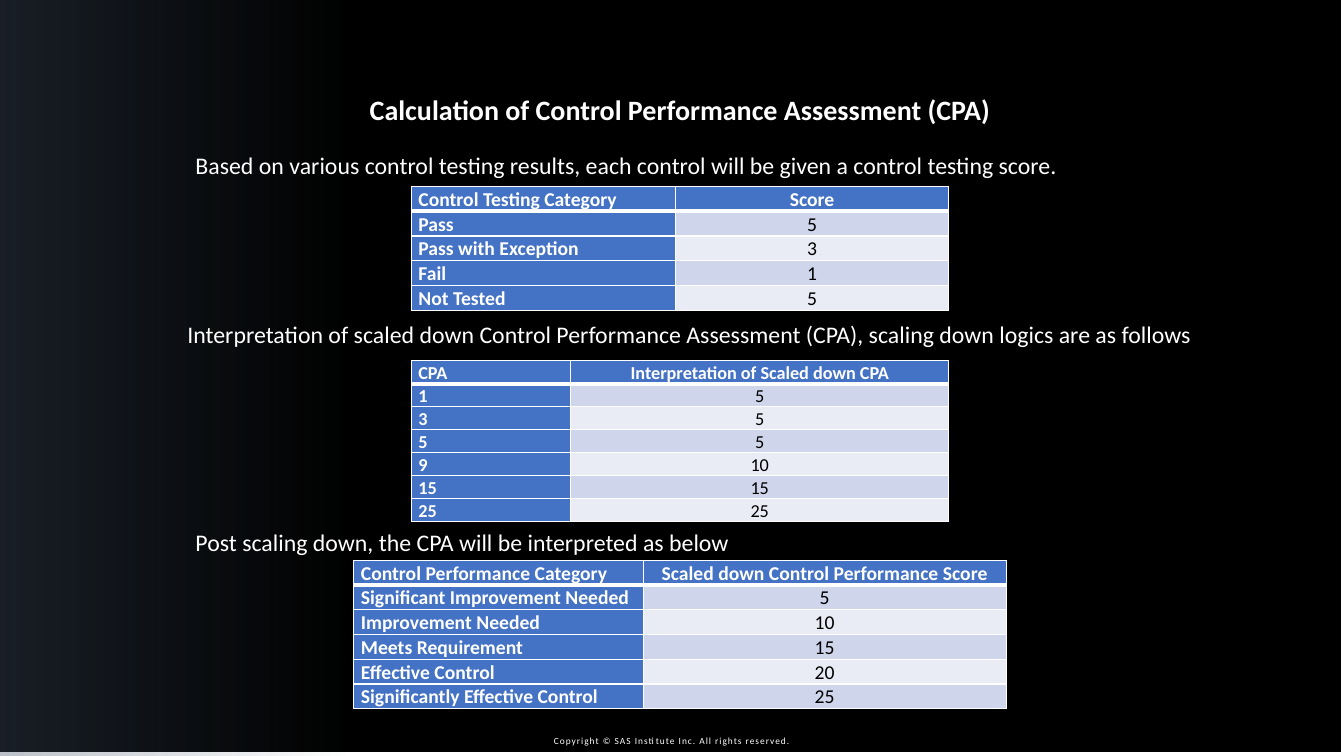
from lxml import etree
from pptx import Presentation
from pptx import util as u
from pptx.dml import color
from pptx.enum import shapes, text
from pptx.oxml import ns

WHITE, BLACK, BLUE, SLATE = "FFFFFF", "000000", "4472C4", "44546A"
BANDS = ["CFD5EA", "E9EBF5"]
AL, ANC = text.PP_ALIGN, text.MSO_ANCHOR


def rgb(value):
    return color.RGBColor.from_string(value)


def write(tf, words, size, fill=WHITE, bold=False, align=AL.LEFT,
          line=None, after=0, spacing=None):
    p = tf.paragraphs[0]
    p.alignment = align
    p.space_after = u.Pt(after)
    if line:
        p.line_spacing = line
    r = p.add_run()
    r.text = words
    r.font.name, r.font.size, r.font.bold = "Calibri", u.Pt(size), bold
    r.font.color.rgb = rgb(fill)
    if spacing:
        r.font._element.set("spc", str(spacing))


def add_label(s, x, y, w, h, words, size, anchor=ANC.TOP, **fmt):
    tf = s.shapes.add_textbox(*map(u.Inches, (x, y, w, h))).text_frame
    tf.word_wrap = True
    tf.auto_size = text.MSO_AUTO_SIZE.SHAPE_TO_FIT_TEXT
    tf.vertical_anchor = anchor
    write(tf, words, size, **fmt)


def add_block(s, x, y, w, h):
    sp = s.shapes.add_shape(shapes.MSO_SHAPE.RECTANGLE,
                            *map(u.Inches, (x, y, w, h)))
    sp.shadow.inherit = False
    sp.line.fill.background()
    return sp


def fade(sp, value, stops):
    """Gradient of one colour; stops are (position, opacity) pairs."""
    sp.fill.gradient()
    sp.fill.gradient_angle = 180
    for stop, (position, opacity) in zip(sp.fill.gradient_stops, stops):
        stop.position = position
        stop.color.rgb = rgb(value)
        srgb = stop._gs.find(ns.qn("a:srgbClr"))
        etree.SubElement(srgb, ns.qn("a:alpha"), val=str(int(opacity * 100000)))


def add_borders(cell, **widths):
    tcPr = cell._tc.get_or_add_tcPr()
    for side in "LRTB":
        ln = etree.SubElement(tcPr, ns.qn("a:ln" + side),
                              w=str(u.Pt(widths.get(side, 1))))
        fill = etree.SubElement(ln, ns.qn("a:solidFill"))
        etree.SubElement(fill, ns.qn("a:srgbClr"), val=WHITE)


def add_score_table(s, x, y, widths, height, size, rows, middle=False):
    box = map(u.Inches, (x, y, sum(widths), height))
    table = s.shapes.add_table(len(rows), len(widths), *box).table
    for column, width in zip(table.columns, widths):
        column.width = u.Inches(width)
    for i, row in enumerate(rows):
        table.rows[i].height = u.Inches(height / len(rows))
        for j, words in enumerate(row):
            cell = table.cell(i, j)
            cell.margin_left = cell.margin_right = u.Inches(0.07)
            cell.margin_top = cell.margin_bottom = 0
            if middle and i:
                cell.vertical_anchor = ANC.MIDDLE if j else ANC.BOTTOM
            # Thick rule under the header row
            add_borders(cell, B=3 if i == 0 else 1, T=3 if i == 1 else 1)
            score = i > 0 and j > 0
            cell.fill.solid()
            cell.fill.fore_color.rgb = rgb(BANDS[(i - 1) % 2] if score else BLUE)
            write(cell.text_frame, words, size, fill=BLACK if score else WHITE,
                  bold=not score, align=AL.CENTER if j else AL.JUSTIFY, line=1.05)


def main():
    prs = Presentation()
    prs.slide_width, prs.slide_height = u.Inches(13.33), u.Inches(7.5)
    s = prs.slides.add_slide(prs.slide_layouts[6])

    # Backdrop and footer
    backdrop = add_block(s, 0, -0.01, 13.3, 7.47)
    backdrop.fill.solid()
    backdrop.fill.fore_color.rgb = rgb(BLACK)
    fade(add_block(s, 0, 0, 3.51, 7.51), SLATE, [(0.02, 0), (1, 0.36)])
    add_label(s, 4.83, 7.24, 3.67, 0.21,
              "Copyright © SAS Institute Inc. All rights reserved.", 6.7,
              anchor=ANC.BOTTOM, align=AL.CENTER, spacing=70)

    # Title and section sentences
    add_label(s, 0.61, 0.87, 12.27, 0.44,
              "Calculation of Control Performance Assessment (CPA)", 20,
              bold=True, align=AL.CENTER)
    sentences = [
        (1.84, 1.43, 10.47, AL.JUSTIFY, "Based on various control testing results, "
         "each control will be given a control testing score."),
        (1.76, 3.11, 10.4, AL.LEFT, "Interpretation of scaled down Control Performance "
         "Assessment (CPA), scaling down logics are as follows"),
        (1.84, 5.17, 10.4, AL.LEFT,
         "Post scaling down, the CPA will be interpreted as below"),
    ]
    for x, y, w, align, words in sentences:
        add_label(s, x, y, w, 0.39, words, 17, align=align, line=1.05, after=6)

    # Score tables
    add_score_table(s, 4.08, 1.85, [2.62, 2.71], 1.23, 14, [
        ("Control Testing Category", "Score"),
        ("Pass", "5"),
        ("Pass with Exception", "3"),
        ("Fail", "1"),
        ("Not Tested", "5"),
    ])
    add_score_table(s, 4.08, 3.58, [1.58, 3.75], 1.59, 13, [
        ("CPA", "Interpretation of Scaled down CPA"),
        ("1", "5"),
        ("3", "5"),
        ("5", "5"),
        ("9", "10"),
        ("15", "15"),
        ("25", "25"),
    ], middle=True)
    add_score_table(s, 3.51, 5.56, [2.87, 3.6], 1.47, 14, [
        ("Control Performance Category", "Scaled down Control Performance Score"),
        ("Significant Improvement Needed", "5"),
        ("Improvement Needed", "10"),
        ("Meets Requirement", "15"),
        ("Effective Control", "20"),
        ("Significantly Effective Control", "25"),
    ])
    prs.save("out.pptx")


if __name__ == "__main__":
    main()
